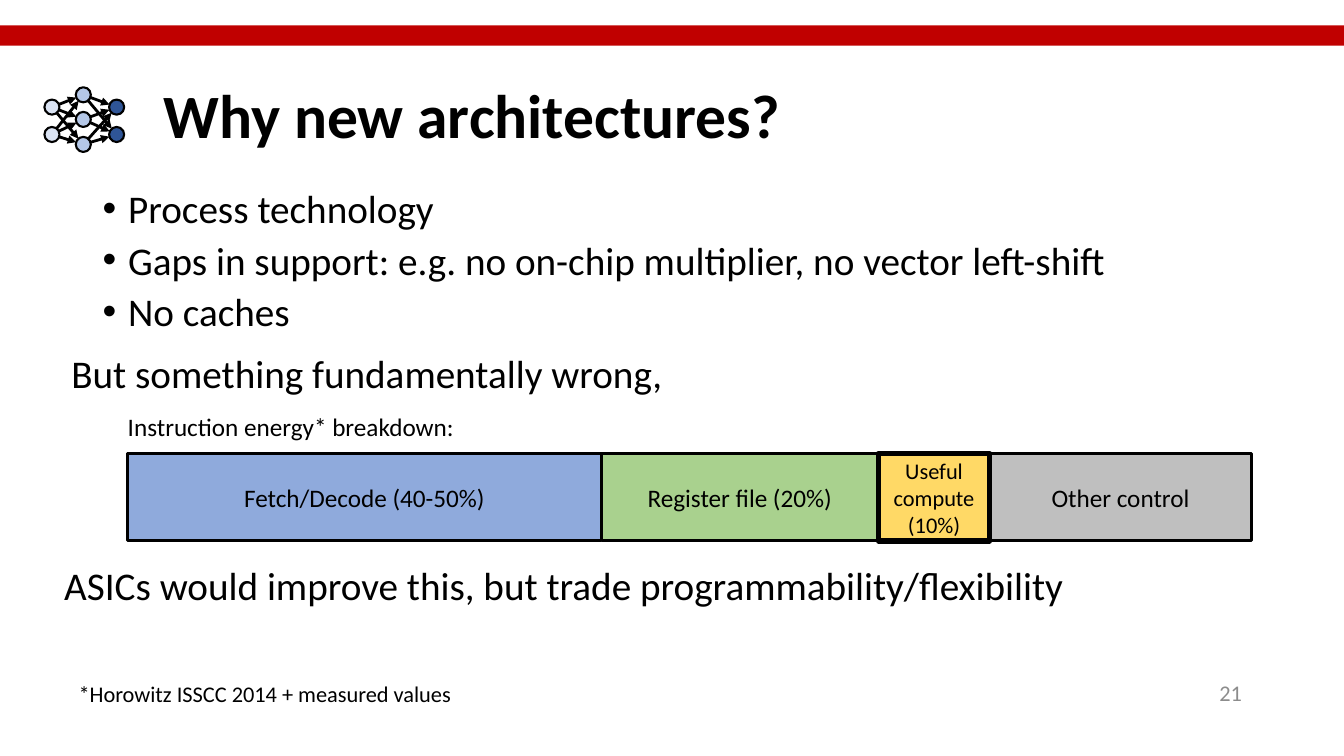
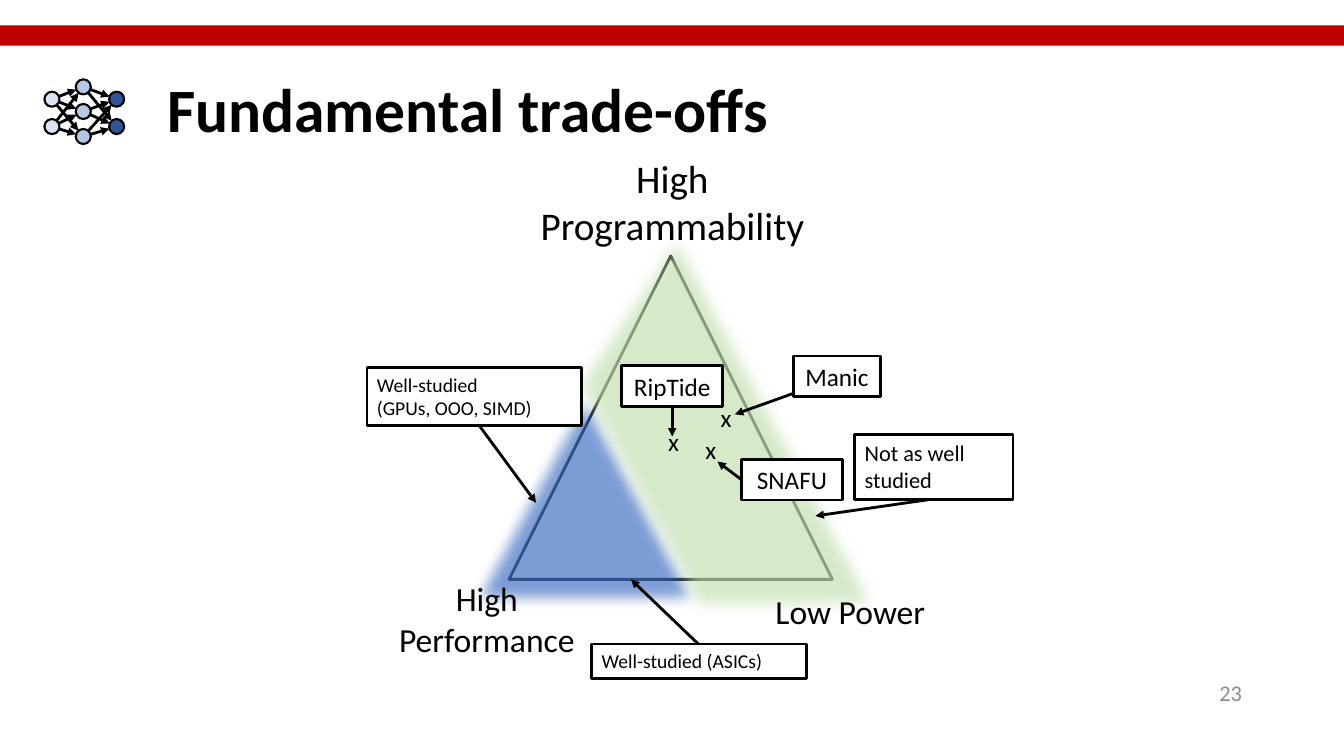
import itertools
import math

import pptx
import pptx.dml.color
import pptx.enum.shapes
import pptx.enum.text
import pptx.oxml
import pptx.oxml.ns
import pptx.util

Cm = pptx.util.Cm
Pt = pptx.util.Pt
RGB = pptx.dml.color.RGBColor
SHAPE = pptx.enum.shapes.MSO_SHAPE
ALIGN = pptx.enum.text.PP_ALIGN
ANCHOR = pptx.enum.text.MSO_ANCHOR

BLACK = RGB(0x00, 0x00, 0x00)
WHITE = RGB(0xFF, 0xFF, 0xFF)
RED = RGB(0xC0, 0x00, 0x00)
GREY = RGB(0x8C, 0x8C, 0x8C)
SILVER = RGB(0xBF, 0xBF, 0xBF)
BLUE = RGB(0x8F, 0xAA, 0xDC)
GREEN = RGB(0xA9, 0xD1, 0x8E)
YELLOW = RGB(0xFF, 0xD9, 0x66)
STUDIED_BLUE = RGB(0x44, 0x72, 0xC4)
OPEN_GREEN = RGB(0xC5, 0xE0, 0xB4)
NODE_LIGHT = RGB(0xDA, 0xE3, 0xF3)
NODE_MID = RGB(0xB4, 0xC7, 0xE7)
NODE_DARK = RGB(0x2F, 0x55, 0x97)

FONT = "Calibri"
SLIDE_W, SLIDE_H = 33.87, 19.05

# All positions and sizes are in centimetres: left, top, width, height.
ARCHITECTURES = {
    "title": "Why new architectures?", "number": "21",
    "title_at": (3.86, 1.14), "icon_top": 1.9,
}
TRADE_OFFS = {
    "title": "Fundamental trade-offs", "number": "23",
    "title_at": (3.96, 0.99), "icon_top": 1.7,
}

REASONS = """Process technology
Gaps in support: e.g. no on-chip multiplier, no vector left-shift
No caches"""
STATEMENTS = [  # text, box, size
    ("But something fundamentally wrong,", (1.55, 8.69, 22.17, 1.45), 28),
    ("Instruction energy* breakdown:", (2.97, 10.24, 9, 1.02), 18),
    ("ASICs would improve this, but trade programmability/flexibility",
     (1.37, 14.02, 26.77, 1.45), 28),
    ("*Horowitz ISSCC 2014 + measured values", (1.73, 17.02, 10.4, 0.94), 16),
]
ENERGY_LEFT, ENERGY_TOP, ENERGY_H = 3.22, 11.43, 2.2
ENERGY = [  # text, width, fill, text size, outline
    ("Fetch/Decode (40-50%)", 11.93, BLUE, 18, 2),
    ("Register file (20%)", 6.99, GREEN, 18, 2),
    ("Useful compute\n(10%)", 2.8, YELLOW, 16, 4),
    ("Other control", 6.6, SILVER, 18, 2),
]

CORNERS = [  # text, box, size
    ("High\nProgrammability", (13.24, 3.76, 7.41, 2.64), 28),
    ("High\nPerformance", (9.68, 14.45, 5.18, 2.31), 24),
    ("Low Power", (19.13, 14.76, 4.6, 1.27), 24),
]
CALLOUTS = [  # text, box, size, alignment, arrow start, arrow end
    ("Not as well studied", (21.54, 10.95, 3.99, 1.63), 16, ALIGN.LEFT,
     (23.55, 12.57), (20.55, 13)),
    ("Well-studied\n(GPUs, OOO, SIMD)", (9.25, 9.27, 5.41, 1.45), 14, ALIGN.LEFT,
     (11.81, 10.36), (13.51, 12.67)),
    ("Well-studied (ASICs)", (14.91, 16.23, 5.41, 0.86), 14, ALIGN.LEFT,
     (17.6, 16.23), (15.9, 14.6)),
    ("Manic", (19.99, 8.97, 2.21, 1.02), 18, ALIGN.CENTER,
     (20.73, 9.65), (18.52, 10.44)),
    ("SNAFU", (18.69, 11.58, 2.54, 1.02), 18, ALIGN.CENTER,
     (18.69, 12.09), (18.08, 11.63)),
    ("RipTide", (15.67, 9.22, 2.54, 1.02), 18, ALIGN.CENTER,
     (16.94, 10.24), (16.94, 11)),
]
DESIGN_POINTS = [(17.91, 10.01), (17.53, 10.82), (16.59, 10.62)]

ICON_LEFT, NODE = 1.12, 0.38
ICON_LAYERS = [  # column, node tops, fill
    (0, (0.61, 1.3), NODE_LIGHT),
    (0.79, (0.3, 0.92, 1.55), NODE_MID),
    (1.63, (0.61, 1.3), NODE_DARK),
]


def add_xml(parent, tag, **attributes):
    child = pptx.oxml.parse_xml(f"<{tag} {pptx.oxml.ns.nsdecls('a')}/>")
    for key, value in attributes.items():
        child.set(key, str(value))
    parent.append(child)
    return child


def write(frame, text, size=18, color=BLACK, bold=False, align=ALIGN.LEFT,
          anchor=ANCHOR.TOP, line=None, before=0, bullet=None):
    """Fill a text frame, one paragraph for each line of text."""
    frame.word_wrap = True
    frame.auto_size = pptx.enum.text.MSO_AUTO_SIZE.NONE
    frame.vertical_anchor = anchor
    for index, words in enumerate(text.split("\n")):
        paragraph = frame.add_paragraph() if index else frame.paragraphs[0]
        paragraph.text = words
        if bullet:
            props = paragraph._p.get_or_add_pPr()
            props.set("marL", str(Cm(0.64)))
            props.set("indent", str(-Cm(0.64)))
            add_xml(props, "a:buFont", typeface="Arial")
            add_xml(props, "a:buChar", char=bullet)
        paragraph.alignment = align
        if line:
            paragraph.line_spacing = line
        if index:
            paragraph.space_before = Pt(before)
        font = paragraph.font
        font.name, font.size, font.bold = FONT, Pt(size), bold
        font.color.rgb = color


def add_text(slide, text, box, **style):
    write(slide.shapes.add_textbox(*map(Cm, box)).text_frame, text, **style)


def add_box(slide, kind, box, fill=None, outline=None):
    shape = slide.shapes.add_shape(kind, *map(Cm, box))
    shape.shadow.inherit = False
    if fill is None:
        shape.fill.background()
    else:
        shape.fill.solid()
        shape.fill.fore_color.rgb = fill
    if outline is None:
        shape.line.fill.background()
    else:
        shape.line.color.rgb = BLACK
        shape.line.width = Pt(outline)
    return shape


def add_arrow(slide, start, end):
    arrow = slide.shapes.add_connector(
        pptx.enum.shapes.MSO_CONNECTOR.STRAIGHT, *map(Cm, (*start, *end)))
    arrow.line.color.rgb = BLACK
    arrow.line.width = Pt(2)
    add_xml(arrow.line._get_or_add_ln(), "a:tailEnd", type="triangle")
    add_xml(arrow._element.spPr, "a:effectLst")


def blur(shape, opacity=70, radius=10):
    """Make a filled shape see-through, with a soft edge of radius points."""
    props = shape._element.spPr
    color = props.find(".//" + pptx.oxml.ns.qn("a:srgbClr"))
    add_xml(color, "a:alpha", val=opacity * 1000)
    effects = props.find(pptx.oxml.ns.qn("a:effectLst"))
    add_xml(effects, "a:softEdge", rad=Pt(radius))


def add_network_icon(slide, top):
    radius = NODE / 2
    layers = []
    for column, rows, fill in ICON_LAYERS:
        corners = [(ICON_LEFT + column, top + row) for row in rows]
        for corner in corners:
            add_box(slide, SHAPE.OVAL, (*corner, NODE, NODE), fill, 1.5)
        layers.append([(x + radius, y + radius) for x, y in corners])
    for sources, targets in itertools.pairwise(layers):
        for (x1, y1), (x2, y2) in itertools.product(sources, targets):
            distance = math.dist((x1, y1), (x2, y2))
            dx, dy = radius * (x2 - x1) / distance, radius * (y2 - y1) / distance
            add_arrow(slide, (x1 + dx, y1 + dy), (x2 - dx, y2 - dy))


def start_slide(deck, content):
    """Add a slide with the band, title, icon and number that all share."""
    slide = deck.slides.add_slide(deck.slide_layouts[5])
    add_box(slide, SHAPE.RECTANGLE, (0, 0.64, SLIDE_W, 0.51), RED)
    title = slide.shapes.title
    title.left, title.top = map(Cm, content["title_at"])
    title.width, title.height = Cm(29.21), Cm(3.68)
    write(title.text_frame, content["title"], size=44, bold=True,
          anchor=ANCHOR.MIDDLE, line=0.9)
    add_network_icon(slide, content["icon_top"])
    add_text(slide, content["number"], (23.93, 16.94, 7.62, 1.02), size=16,
             color=GREY, align=ALIGN.RIGHT, anchor=ANCHOR.MIDDLE)
    return slide


def build_architectures(deck):
    slide = start_slide(deck, ARCHITECTURES)
    add_text(slide, REASONS, (2.34, 4.75, 29.21, 3.89), size=28, line=0.8,
             before=10, bullet="•")
    for text, box, size in STATEMENTS:
        add_text(slide, text, box, size=size)
    lefts = itertools.accumulate((part[1] for part in ENERGY), initial=ENERGY_LEFT)
    # The part with the thickest outline goes on top of its neighbours.
    for left, (text, width, fill, size, outline) in sorted(
            zip(lefts, ENERGY), key=lambda placed: placed[1][-1]):
        part = add_box(slide, SHAPE.RECTANGLE,
                       (left, ENERGY_TOP, width, ENERGY_H), fill, outline)
        write(part.text_frame, text, size=size, align=ALIGN.CENTER,
              anchor=ANCHOR.MIDDLE)


def build_trade_offs(deck):
    slide = start_slide(deck, TRADE_OFFS)
    add_box(slide, SHAPE.ISOSCELES_TRIANGLE, (12.83, 6.45, 8.15, 8.15), outline=2)
    blur(add_box(slide, SHAPE.ISOSCELES_TRIANGLE, (11.4, 9.22, 6.68, 6.17),
                 STUDIED_BLUE))
    less_studied = add_box(slide, SHAPE.TRAPEZOID, (11.94, 9.14, 11.66, 4.7),
                           OPEN_GREEN)
    less_studied.adjustments[0] = 0.53
    less_studied.rotation = 241.9
    blur(less_studied)
    for text, box, size in CORNERS:
        add_text(slide, text, box, size=size, align=ALIGN.CENTER)
    for text, box, size, align, start, end in CALLOUTS:
        add_arrow(slide, start, end)
        callout = add_box(slide, SHAPE.RECTANGLE, box, WHITE, 2)
        write(callout.text_frame, text, size=size, align=align)
    for point in DESIGN_POINTS:
        add_text(slide, "x", (*point, 0.8, 1.02))


def main():
    deck = pptx.Presentation()
    deck.slide_width, deck.slide_height = Cm(SLIDE_W), Cm(SLIDE_H)
    build_architectures(deck)
    build_trade_offs(deck)
    deck.save("out.pptx")


if __name__ == "__main__":
    main()
